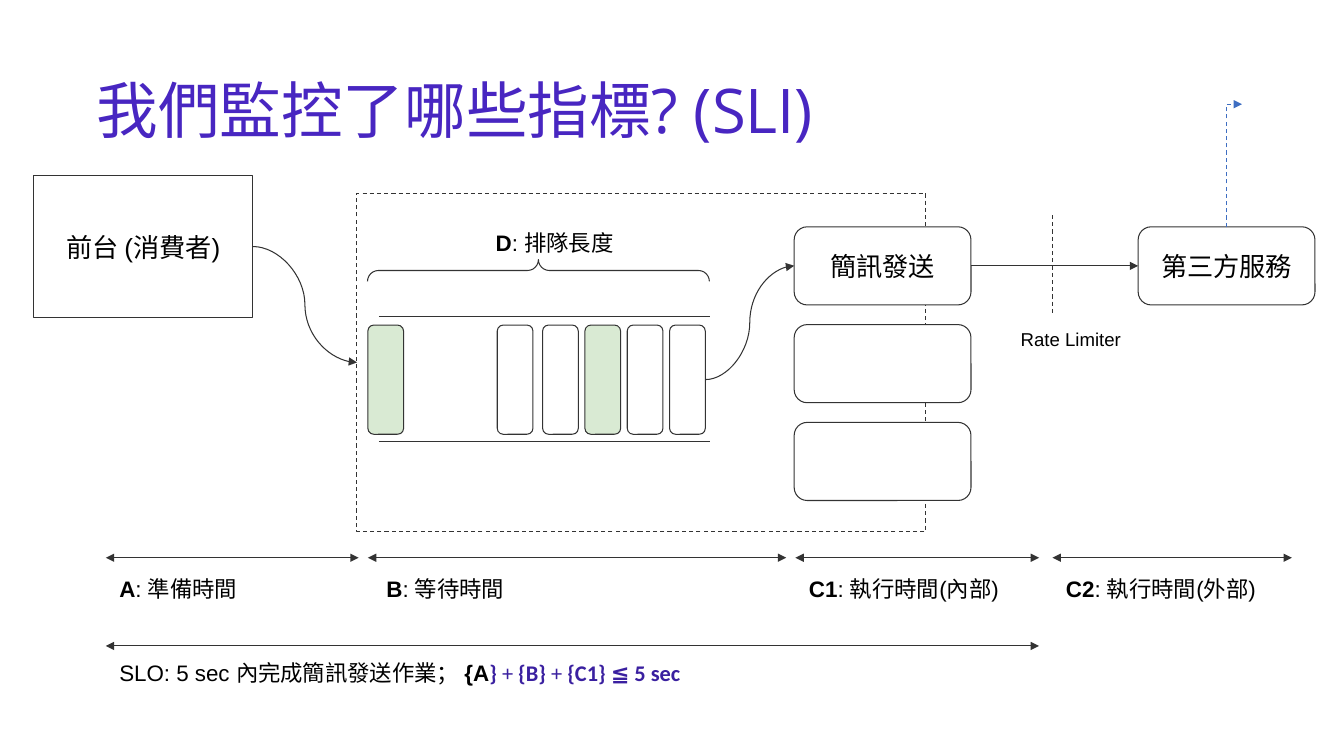
from lxml import etree
from pptx import Presentation, util as u
from pptx.dml.color import RGBColor
from pptx.enum import dml, shapes, text
from pptx.oxml.ns import qn

COLS, ROWS = 160, 90
CELL = u.Inches(1) // 12
INK, WHITE, GREEN, BLACK = "333333", "FFFFFF", "D9EAD3", "000000"
PURPLE = "3A20A0"
KIND = shapes.MSO_SHAPE
LINK = shapes.MSO_CONNECTOR
TOP, LEFT, BOTTOM, RIGHT = range(4)


def grid(*cells):
    return [u.Emu(round(c * CELL)) for c in cells]


def rgb(color):
    return RGBColor.from_string(color)


def stroke(s, color=INK, dashed=False):
    s.line.color.rgb = rgb(color)
    s.line.width = u.Pt(0.75)
    if dashed:
        s.line.dash_style = dml.MSO_LINE.DASH


def write(s, runs, size, color=BLACK, font="Arial", inset=1.6):
    tf = s.text_frame
    tf.word_wrap = True
    tf.margin_left, tf.margin_top, tf.margin_right, tf.margin_bottom = grid(*[inset] * 4)
    p = tf.paragraphs[0]
    p.font.size = u.Pt(size)
    p.font.name = font
    p.font.color.rgb = rgb(color)
    for content, bold, *style in runs:
        r = p.add_run()
        r.text = content
        r.font.bold = bold
        if style:
            r.font.name = style[0]
            r.font.color.rgb = rgb(style[1])
    return p


def add_text(slide, x, y, w, h, runs, size, **style):
    s = slide.shapes.add_textbox(*grid(x, y, w, h))
    return s, write(s, runs, size, **style)


def add_box(slide, kind, x, y, w, h, fill=WHITE, label=None, dashed=False):
    s = slide.shapes.add_shape(kind, *grid(x, y, w, h))
    s.shadow.inherit = False
    if fill:
        s.fill.solid()
        s.fill.fore_color.rgb = rgb(fill)
    else:
        s.fill.background()
    stroke(s, dashed=dashed)
    if label:
        p = write(s, [(label, False)], 18.7)
        p.alignment = text.PP_ALIGN.CENTER
        s.text_frame.vertical_anchor = text.MSO_ANCHOR.MIDDLE
    return s


def add_line(slide, x1, y1, x2, y2, heads=(), kind=LINK.STRAIGHT, color=INK, dashed=False):
    s = slide.shapes.add_connector(kind, *grid(x1, y1, x2, y2))
    stroke(s, color, dashed)
    for head in heads:
        etree.SubElement(s.line._get_or_add_ln(), qn(f"a:{head}"), type="triangle")
    etree.SubElement(s._element.spPr, qn("a:effectLst"))
    return s


def join(slide, start, end, kind):
    s = add_line(slide, 0, 0, 1, 1, ["tailEnd"], kind)
    s.begin_connect(start, RIGHT)
    s.end_connect(end, LEFT)


def add_callback(slide):
    s = add_line(slide, 139.65, 18.8, 154.25, 20.6, ["tailEnd"], LINK.ELBOW, "3E6EC2", True)
    s._element.spPr.find(qn("a:prstGeom")).set("prst", "bentConnector2")
    s._element.spPr.find(qn("a:xfrm")).set("rot", str(270 * 60000))


def add_queue(slide):
    for y in (37.7, 52.6):
        add_line(slide, 45.1, y, 84.5, y)
    fills = {43.8: GREEN, 59.2: WHITE}
    fills.update({64.6 + 5.04 * i: f for i, f in enumerate((WHITE, GREEN, WHITE, WHITE))})
    jobs = [add_box(slide, KIND.ROUNDED_RECTANGLE, x, 38.7, 4.25, 13, f)
            for x, f in fills.items()]
    brace = add_box(slide, KIND.RIGHT_BRACE, 62.8, 11.85, 2.6, 40.7, None)
    brace.rotation = 270
    brace.adjustments[0] = 0.5
    add_text(slide, 57.4, 25.7, 26, 7.9, [("D", True), (": 排隊長度", False)], 16)
    return jobs[-1]


def add_timeline(slide):
    both = ["headEnd", "tailEnd"]
    phases = [
        (12.6, 42.7, 12.6, 25.2, "A", ": 準備時間"),
        (43.8, 93.6, 44.4, 41.4, "B", ": 等待時間"),
        (94.7, 123.7, 94.7, 26, "C1", ": 執行時間(內部)"),
        (125.3, 153.8, 125.3, 26, "C2", ": 執行時間(外部)"),
    ]
    for start, end, x, w, key, name in phases:
        add_line(slide, start, 66.4, end, 66.4, both)
        add_text(slide, x, 66.85, w, 7.9, [(key, True), (name, False)], 16)
    add_line(slide, 12.6, 76.9, 123.7, 76.9, both)
    formula = [("} ", True), ("+ ", False), ("{B} ", True), ("+ ", False),
               ("{C1} ≦ 5 sec", True)]
    runs = [("SLO: 5 sec 內完成簡訊發送作業； ", False), ("{A", True)]
    runs += [(part, bold, "Calibri", PURPLE) for part, bold in formula]
    add_text(slide, 12.6, 76.9, 111.1, 7.9, runs, 16)


def main():
    prs = Presentation()
    prs.slide_width, prs.slide_height = grid(COLS, ROWS)
    slide = prs.slides.add_slide(prs.slide_layouts[6])

    s, p = add_text(slide, 11, 4.8, 138, 17.4, [("我們監控了哪些指標? (SLI)", False)], 44,
                    color="4826C1", font="Open Sans", inset=0.5)
    s.text_frame.vertical_anchor = text.MSO_ANCHOR.MIDDLE
    p.line_spacing = 0.9

    system = add_box(slide, KIND.RECTANGLE, 42.5, 23, 67.7, 40.3, dashed=True)
    last_job = add_queue(slide)
    workers = [add_box(slide, KIND.ROUNDED_RECTANGLE, 94.55, 27 + 11.64 * i, 21.05, 9.3,
                       label=label)
               for i, label in enumerate(("簡訊發送", None, None))]
    vendor = add_box(slide, KIND.ROUNDED_RECTANGLE, 135.5, 27, 21.05, 9.3, label="第三方服務")
    client = add_box(slide, KIND.RECTANGLE, 4, 20.9, 26.1, 16.9, label="前台 (消費者)")

    join(slide, client, system, LINK.CURVE)
    join(slide, last_job, workers[0], LINK.CURVE)
    join(slide, workers[0], vendor, LINK.STRAIGHT)
    add_line(slide, 125.3, 25.6, 125.3, 37.45, dashed=True)
    add_text(slide, 119.9, 37.7, 17.8, 7.9, [("Rate Limiter", False)], 13.3)
    add_callback(slide)
    add_timeline(slide)
    prs.save("out.pptx")


if __name__ == "__main__":
    main()
